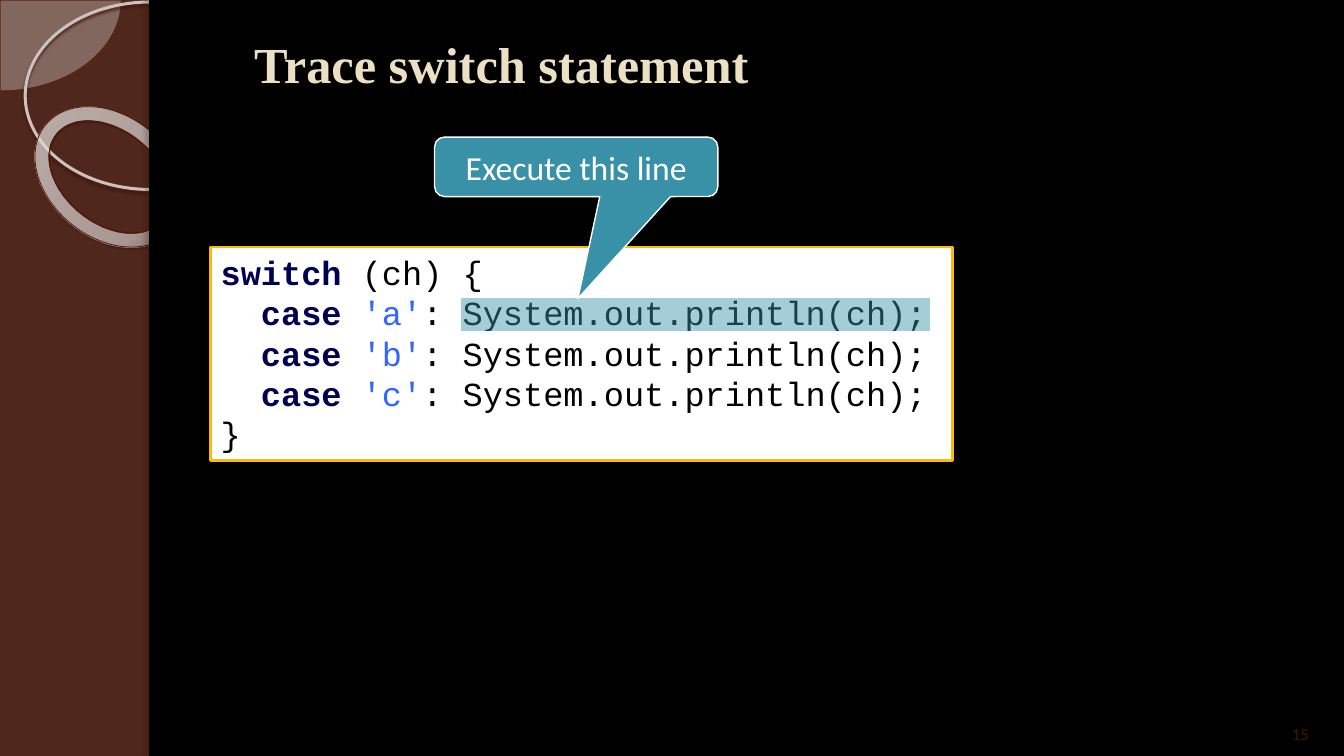
from lxml import etree
from pptx import Presentation
from pptx.dml.color import RGBColor
from pptx.enum.shapes import MSO_SHAPE
from pptx.enum.text import MSO_ANCHOR, MSO_AUTO_SIZE, PP_ALIGN
from pptx.oxml import parse_xml
from pptx.oxml.ns import nsdecls, qn
from pptx.util import Inches, Pt

BROWN = RGBColor(0x4F, 0x27, 0x1C)
BLACK = RGBColor(0x00, 0x00, 0x00)
WHITE = RGBColor(0xFF, 0xFF, 0xFF)
PALE = RGBColor(0xEC, 0xEA, 0xE9)
PIE_LINE = RGBColor(0x59, 0x15, 0x02)
RING_LINE = RGBColor(0xCE, 0xC2, 0xC0)
DONUT_LINE = RGBColor(0x56, 0x12, 0x00)
CREAM = RGBColor(0xEC, 0xE0, 0xC4)
GOLD = RGBColor(0xFE, 0xB8, 0x0A)
TEAL = RGBColor(0x38, 0x91, 0xA7)
KEYWORD = RGBColor(0x00, 0x00, 0x50)
LITERAL = RGBColor(0x33, 0x66, 0xFF)
NUMBER = RGBColor(0x4A, 0x14, 0x08)

prs = Presentation()
prs.slide_width, prs.slide_height = Inches(13.33), Inches(7.5)
s = prs.slides.add_slide(prs.slide_layouts[5])
s.background.fill.solid()
s.background.fill.fore_color.rgb = BROWN


def add_shape(kind, box, fill=None, line=None, width=1, alpha=None, adj=(), shadow=None):
    sp = s.shapes.add_shape(kind, *[Inches(v) for v in box])
    sp.shadow.inherit = False
    for i, value in enumerate(adj):
        sp.adjustments[i] = value
    if fill is None:
        sp.fill.background()
    else:
        sp.fill.solid()
        sp.fill.fore_color.rgb = fill
    if alpha:
        color = sp.fill._xPr.find(qn("a:solidFill"))[0]
        etree.SubElement(color, qn("a:alpha"), val=str(alpha * 1000))
    if line is None:
        sp.line.fill.background()
    else:
        sp.line.color.rgb = line
        sp.line.width = Pt(width)
    if shadow:
        color, opacity, blur, dist, angle = shadow
        effects = sp.element.spPr.find(qn("a:effectLst"))
        effects.append(parse_xml(
            f'<a:outerShdw {nsdecls("a")} blurRad="{Pt(blur)}" dist="{Pt(dist)}" '
            f'dir="{angle * 60000}" algn="tl" rotWithShape="0"><a:srgbClr val="{color}">'
            f'<a:alpha val="{opacity * 1000}"/></a:srgbClr></a:outerShdw>'))
    return sp


def add_run(p, text, **fmt):
    r = p.add_run()
    r.text = text
    r.font.color.rgb = fmt.pop("color")
    for name, value in fmt.items():
        setattr(r.font, name, value)


# Corner ornaments
add_shape(MSO_SHAPE.PIE, (-1.19, -0.89, 2.39, 1.79), PALE, PIE_LINE, 0.25,
          alpha=33, adj=(0, 54.02))
add_shape(MSO_SHAPE.OVAL, (0.25, 0.02, 2.48, 1.86), line=RING_LINE, width=2.15,
          shadow=("44170B", 85, 2, 2, 90))
donut = add_shape(MSO_SHAPE.DONUT, (0.27, 1.15, 1.64, 1.21), PALE, DONUT_LINE, 0.58,
                  adj=(0.118,), shadow=("260901", 35, 1, 1.2, 75))
donut.rotation = 38.6
stops = "".join(
    f'<a:gs pos="{pos * 1000}"><a:srgbClr val="{color}"><a:alpha val="{alpha * 1000}"/>'
    '</a:srgbClr></a:gs>'
    for pos, color, alpha in [(0, "F4F2F2", 70), (70, "F9F8F8", 55), (100, "5E1400", 60)])
solid = donut.element.spPr.find(qn("a:solidFill"))
donut.element.spPr.replace(solid, parse_xml(
    f'<a:gradFill {nsdecls("a")} rotWithShape="1"><a:gsLst>{stops}</a:gsLst>'
    '<a:path path="circle"><a:fillToRect l="-408000" t="-50000" r="508000" b="150000"/>'
    '</a:path></a:gradFill>'))

# Black panel and its shaded edge
add_shape(MSO_SHAPE.RECTANGLE, (1.48, 0, 11.86, 7.5), BLACK)
add_shape(MSO_SHAPE.RECTANGLE, (1.48, 0, 0.11, 7.5), BLACK,
          shadow=("29130D", 25, 3, 3, 180))

# Title, raised above the panel
title = s.shapes.title
title.element.getparent().append(title.element)
title.left, title.top, title.width, title.height = [
    Inches(v) for v in (2.42, 0.35, 8.75, 0.55)]
tf = title.text_frame
tf.auto_size = MSO_AUTO_SIZE.NONE
tf.vertical_anchor = MSO_ANCHOR.MIDDLE
p = tf.paragraphs[0]
p.alignment = PP_ALIGN.LEFT
add_run(p, "Trace switch statement", name="Times New Roman", size=Pt(36), bold=True,
        color=CREAM)

# Code listing
code = add_shape(MSO_SHAPE.RECTANGLE, (2.09, 2.45, 7.36, 2.12), WHITE, GOLD, 2)
tf = code.text_frame
tf.word_wrap = True
tf.vertical_anchor = MSO_ANCHOR.TOP
lines = [[("switch", KEYWORD), (" (ch) {", BLACK)]]
for letter in "abc":
    lines.append([("  ", BLACK), ("case ", KEYWORD), (f"'{letter}'", LITERAL),
                  (": System.out.println(ch);", BLACK)])
lines.append([("}", BLACK)])
for i, line in enumerate(lines):
    p = tf.add_paragraph() if i else tf.paragraphs[0]
    p.alignment = PP_ALIGN.LEFT
    for text, color in line:
        add_run(p, text, name="Courier New", size=Pt(24), bold=color == KEYWORD,
                color=color)

# Highlighted line and its callout
add_shape(MSO_SHAPE.RECTANGLE, (4.57, 2.95, 4.66, 0.34), TEAL, WHITE, alpha=45)
callout = add_shape(MSO_SHAPE.ROUNDED_RECTANGULAR_CALLOUT, (4.31, 1.36, 2.81, 0.59),
                    TEAL, WHITE, adj=(0.006, 2.216, 0.167))
tf = callout.text_frame
tf.word_wrap = True
tf.vertical_anchor = MSO_ANCHOR.MIDDLE
p = tf.paragraphs[0]
p.alignment = PP_ALIGN.CENTER
add_run(p, "Execute this line", name="Calibri", size=Pt(24), color=WHITE)

# Slide number
number = s.shapes.add_textbox(Inches(12.28), Inches(7.1), Inches(0.8), Inches(0.35))
tf = number.text_frame
tf.word_wrap = True
tf.vertical_anchor = MSO_ANCHOR.MIDDLE
p = tf.paragraphs[0]
p.alignment = PP_ALIGN.RIGHT
add_run(p, "15", name="Calibri", size=Pt(12), color=NUMBER)

prs.save("out.pptx")
